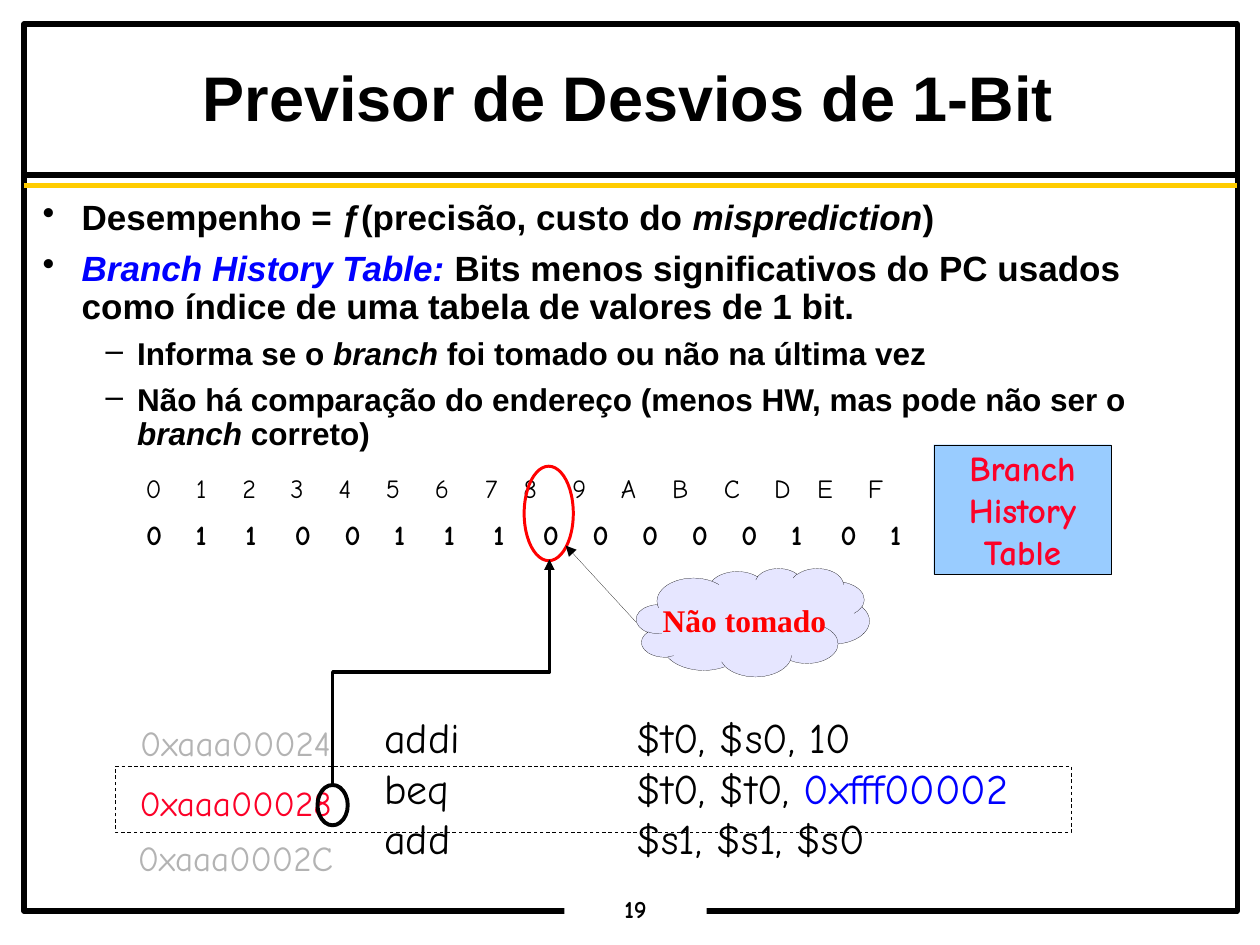
from lxml import etree
from pptx import Presentation
from pptx.dml.color import RGBColor
from pptx.enum.dml import MSO_LINE
from pptx.enum.shapes import MSO_CONNECTOR, MSO_SHAPE
from pptx.enum.text import MSO_ANCHOR, PP_ALIGN
from pptx.oxml.ns import qn
from pptx.util import Inches, Pt

STRAIGHT, ELBOW = MSO_CONNECTOR.STRAIGHT, MSO_CONNECTOR.ELBOW
RECTANGLE, OVAL, CLOUD = MSO_SHAPE.RECTANGLE, MSO_SHAPE.OVAL, MSO_SHAPE.CLOUD
CENTER, LEFT = PP_ALIGN.CENTER, PP_ALIGN.LEFT
MIDDLE, TOP = MSO_ANCHOR.MIDDLE, MSO_ANCHOR.TOP
DASH = MSO_LINE.DASH
BLACK, WHITE, RED, CRIMSON, BLUE = "000000", "FFFFFF", "FF0000", "FC0128", "0000FF"
GOLD, GRAY, SKY, LAVENDER = "FFCC00", "B3B3B3", "99CCFF", "E6E6FF"
ITALIC = {"italic": True}
HAIRLINE = 0.1


def color(value):
    """Turn a hex string into a colour."""
    return RGBColor.from_string(value)


def add_child(parent, tag, **attributes):
    """Append a drawing element with the given attributes."""
    return etree.SubElement(parent, qn(tag), attributes)


def font_format(name, size, bold=False, ink=BLACK):
    """Collect the font values of a run."""
    return {"name": name, "size": Pt(size), "bold": bold, "ink": ink}


def write_paragraph(paragraph, runs, font, **values):
    """Write runs of (text, changed font values) and format the paragraph."""
    for name, value in values.items():
        setattr(paragraph, name, value)
    for text, changes in runs:
        run = paragraph.add_run()
        run.text = text
        for name, value in {**font, **changes}.items():
            if name == "ink":
                run.font.color.rgb = color(value)
            else:
                setattr(run.font, name, value)


def write_lines(frame, lines, font, anchor=TOP, wrap=False, **values):
    """Fill a text frame with one paragraph for each list of runs."""
    frame.word_wrap = wrap
    frame.vertical_anchor = anchor
    for number, runs in enumerate(lines):
        paragraph = frame.add_paragraph() if number else frame.paragraphs[0]
        write_paragraph(paragraph, runs, font, **values)


def set_margins(frame, margin):
    """Give a text frame the same margin on every side."""
    for side in ("left", "top", "right", "bottom"):
        setattr(frame, f"margin_{side}", Inches(margin))


def set_tabs(paragraph, positions, alignment):
    """Give a paragraph its tab stops, in inches."""
    tab_list = add_child(paragraph._p.get_or_add_pPr(), "a:tabLst")
    for position in positions:
        add_child(tab_list, "a:tab", pos=str(Inches(position)), algn=alignment)


def add_text(slide, box, lines, font, **values):
    """Add a text box and return its text frame."""
    frame = slide.shapes.add_textbox(*map(Inches, box)).text_frame
    write_lines(frame, lines, font, **values)
    return frame


def add_outline(slide, kind, box, fill=None, line=BLACK, width=HAIRLINE):
    """Add a preset shape with a plain fill and line."""
    shape = slide.shapes.add_shape(kind, *map(Inches, box))
    shape.shadow.inherit = False
    if fill:
        shape.fill.solid()
        shape.fill.fore_color.rgb = color(fill)
    else:
        shape.fill.background()
    if line:
        shape.line.color.rgb = color(line)
        shape.line.width = Pt(width)
    else:
        shape.line.fill.background()
    return shape


def add_line(slide, kind, start, end, line=BLACK, width=HAIRLINE, arrow=False):
    """Add a connector between two points."""
    connector = slide.shapes.add_connector(kind, *map(Inches, (*start, *end)))
    connector.line.color.rgb = color(line)
    connector.line.width = Pt(width)
    if arrow:
        add_child(connector.line._get_or_add_ln(), "a:tailEnd", type="triangle")
    add_child(connector._element.spPr, "a:effectLst")
    return connector


def add_rising_elbow(slide, start, end):
    """Add an elbow arrow that leaves and arrives vertically."""
    middle_x, middle_y = (start[0] + end[0]) / 2, (start[1] + end[1]) / 2
    half_run, half_rise = (end[0] - start[0]) / 2, (start[1] - end[1]) / 2
    connector = add_line(
        slide, ELBOW,
        (middle_x + half_rise, middle_y + half_run),
        (middle_x - half_rise, middle_y - half_run),
        width=2, arrow=True)
    connector._element.spPr.find(qn("a:xfrm")).set("rot", str(90 * 60000))


def draw_frame(slide, box):
    """Draw the page border, the double rule and the page number."""
    left, top, width, height = box
    add_outline(slide, RECTANGLE, box, width=3)
    for offset, ink in ((1.2, BLACK), (1.28, GOLD)):
        add_line(slide, STRAIGHT, (left, top + offset), (left + width, top + offset), ink, 3)
    number_box = (left + 4.29, top + height - 0.14, 1.13, 0.27)
    number = add_outline(slide, RECTANGLE, number_box, WHITE, None)
    set_margins(number.text_frame, 0.03)
    write_lines(number.text_frame, [[("19", {})]], font_format("Comic Neue", 14, True),
                alignment=CENTER, line_spacing=0.9)


def place_title(slide, box):
    """Move and fill the title placeholder."""
    title = slide.shapes.title
    title.left, title.top, title.width, title.height = map(Inches, box)
    set_margins(title.text_frame, 0)
    write_lines(title.text_frame, [[("Previsor de Desvios de 1-Bit", {})]],
                font_format("Arial", 36, True), MIDDLE, True,
                alignment=CENTER, line_spacing=0.95)


def place_bullets(slide, box):
    """Write the two levels of bullets."""
    lines = [
        [("Desempenho = ƒ(precisão, custo do ", {}), ("misprediction", ITALIC), (")", {})],
        [("Branch History Table:", {"ink": BLUE, **ITALIC}),
         (" Bits menos significativos do PC usados como índice de uma tabela"
          " de valores de 1 bit.", {})],
        [("Informa se o ", {}), ("branch", ITALIC), (" foi tomado ou não na última vez", {})],
        [("Não há comparação do endereço (menos HW, mas pode não ser o ", {}),
         ("branch", ITALIC), (" correto)", {})],
    ]
    levels = ((20, 7.5, "•", 0.31, 0.31), (18, 6.8, "–", 0.75, 0.25))
    frame = slide.shapes.add_textbox(*map(Inches, box)).text_frame
    frame.word_wrap = True
    for number, runs in enumerate(lines):
        level = number // 2
        size, before, bullet, margin, hanging = levels[level]
        paragraph = frame.add_paragraph() if number else frame.paragraphs[0]
        write_paragraph(paragraph, runs, font_format("Arial", size, True), level=level,
                        line_spacing=0.9, space_before=Pt(before))
        properties = paragraph._p.get_or_add_pPr()
        properties.set("marL", str(Inches(margin)))
        properties.set("indent", str(-Inches(hanging)))
        add_child(add_child(properties, "a:buClr"), "a:srgbClr", val=BLACK)
        add_child(properties, "a:buChar", char=bullet)


def place_history(slide, box):
    """Place the index row above the table of history bits."""
    left, top, width, height = box
    stops = (0.27, 0.65, 1.03, 1.41, 1.79, 2.17, 2.56, 2.95,
             3.26, 3.65, 4.04, 4.45, 4.86, 5.26, 5.6, 6)
    indexes = "".join("\t" + digit for digit in "0123456789ABCDEF")
    frame = add_text(slide, (left, top, width, 0.35), [[(indexes, {})]],
                     font_format("Comic Neue", 15), wrap=True)
    set_tabs(frame.paragraphs[0], stops, "ctr")

    bits = "0110011100000101"
    table_box = (left + 0.21, top + 0.29, width - 0.21, height - 0.29)
    table = slide.shapes.add_table(1, len(bits), *map(Inches, table_box)).table
    table.first_row = table.horz_banding = False
    for column, bit in enumerate(bits):
        table.columns[column].width = Inches(table_box[2] / len(bits))
        cell = table.cell(0, column)
        cell.fill.background()
        cell.vertical_anchor = MIDDLE
        write_paragraph(cell.text_frame.paragraphs[0], [(bit, {})],
                        font_format("Comic Neue", 16, True),
                        line_spacing=0.88, space_before=Pt(6))


def place_code(slide, box):
    """Place the instructions, their addresses and the marked branch."""
    left, top, width, height = box
    lines = [[("addi\t\t$t0, $s0, 10", {})],
             [("beq\t\t$t0, $t0, ", {}), ("0xfff00002", {"ink": BLUE})],
             [("add\t\t$s1, $s1, $s0", {})]]
    frame = add_text(slide, (left + 2.03, top, width - 2.03, height), lines,
                     font_format("Comic Neue", 24), alignment=LEFT, wrap=True)
    for paragraph in frame.paragraphs:
        set_tabs(paragraph, (1, 2), "l")
    addresses = (("0xaaa00024", 0.08, GRAY), ("0xaaa00028", 0.55, CRIMSON),
                 ("0xaaa0002C", 0.99, GRAY))
    for address, offset, ink in addresses:
        add_text(slide, (left - 0.05, top + offset, 2, 0.44), [[(address, {})]],
                 font_format("Comic Neue", 20, ink=ink), alignment=CENTER, wrap=True)
    add_outline(slide, OVAL, (left + 1.6, top + 0.63, 0.24, 0.32), width=2.25)
    marker = add_outline(slide, RECTANGLE, (left, top + 0.48, width, 0.53), width=0.5)
    marker.line.dash_style = DASH


def place_callouts(slide):
    """Place the table label, the cloud and the arrows to the chosen bit."""
    label = add_outline(slide, RECTANGLE, (7.41, 3.53, 1.41, 1.03), SKY)
    write_lines(label.text_frame, [[(word, {})] for word in ("Branch", "History", "Table")],
                font_format("Comic Neue", 20, True, CRIMSON), MIDDLE, alignment=CENTER)
    add_outline(slide, OVAL, (4.16, 3.7, 0.39, 0.75), line=RED, width=1.7)
    add_rising_elbow(slide, (2.64, 6.23), (4.36, 4.44))
    cloud = add_outline(slide, CLOUD, (5.05, 4.51, 1.85, 0.86), LAVENDER)
    write_lines(cloud.text_frame, [[("Não tomado", {})]],
                font_format("Times New Roman", 18, True, RED), MIDDLE, alignment=CENTER)
    add_line(slide, STRAIGHT, (5.05, 4.94), (4.49, 4.33), arrow=True)


def main():
    """Build the slide and save it."""
    presentation = Presentation()
    presentation.slide_width, presentation.slide_height = Inches(10), Inches(7.5)
    slide = presentation.slides.add_slide(presentation.slide_layouts[5])
    draw_frame(slide, (0.19, 0.19, 9.63, 7.04))
    place_title(slide, (0.16, 0.24, 9.65, 1.1))
    place_bullets(slide, (0.24, 1.54, 9.55, 2.97))
    place_history(slide, (0.85, 3.7, 6.51, 0.84))
    place_code(slide, (0.92, 5.6, 7.58, 1.3))
    place_callouts(slide)
    presentation.save("out.pptx")


if __name__ == "__main__":
    main()
